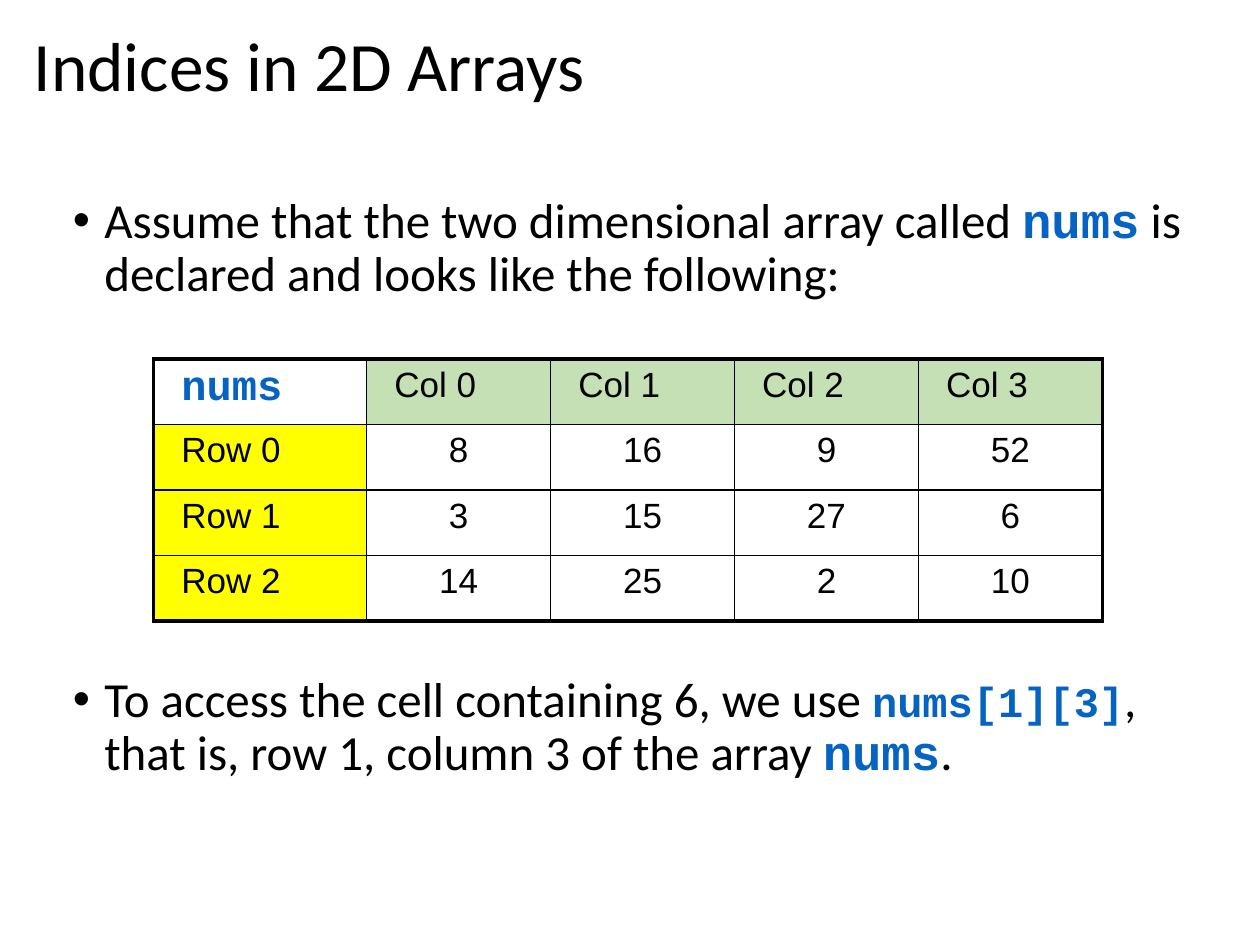
import pptx
import pptx.dml.color
import pptx.enum.text
import pptx.oxml
import pptx.oxml.ns
import pptx.util
from pptx.util import Inches

BLACK, BLUE, GREEN, YELLOW, WHITE = "000000", "0563C1", "C5E0B4", "FFFF00", "FFFFFF"


def color(hex_string):
    """Turn a hex string into a colour."""
    return pptx.dml.color.RGBColor.from_string(hex_string)


class ArraySlide:
    """Holds the style and the current slide."""

    text_font, code_font, cell_font = "Calibri", "Courier New", "Arial"

    def __init__(self, slide):
        self.slide = slide

    def style(self, run, size, font, ink=BLACK, bold=False):
        """Format one run."""
        run.font.size = pptx.util.Pt(size)
        run.font.name = font
        run.font.bold = bold
        run.font.color.rgb = color(ink)

    def frame(self, left, top, width, height):
        """Add a wrapping text box and return its text frame."""
        box = self.slide.shapes.add_textbox(
            Inches(left), Inches(top), Inches(width), Inches(height))
        box.text_frame.word_wrap = True
        return box.text_frame

    def title(self, text, left, top, width, height):
        """Add the slide title."""
        heading = self.frame(left, top, width, height)
        heading.text = text
        heading.vertical_anchor = pptx.enum.text.MSO_ANCHOR.MIDDLE
        heading.paragraphs[0].line_spacing = 0.9
        self.style(heading.paragraphs[0].runs[0], 39.6, self.text_font)

    def bullets(self, items, left, top, width, height):
        """Add bullets given as (space before, [(text, code size or None)])."""
        body = self.frame(left, top, width, height)
        for index, (space, pieces) in enumerate(items):
            bullet = body.add_paragraph() if index else body.paragraphs[0]
            bullet.line_spacing = 0.9
            bullet.space_before = pptx.util.Pt(space)
            properties = bullet._p.get_or_add_pPr()
            properties.set("marL", str(Inches(0.25)))
            properties.set("indent", str(-Inches(0.25)))
            namespace = pptx.oxml.ns.nsdecls("a")
            for tag in ('buFont typeface="Arial"', 'buChar char="\u2022"'):
                properties.append(pptx.oxml.parse_xml(f"<a:{tag} {namespace}/>"))
            for text, code_size in pieces:
                run = bullet.add_run()
                run.text = text
                if code_size:
                    self.style(run, code_size, self.code_font, BLUE, True)
                else:
                    self.style(run, 28, self.text_font)

    def borders(self, cell, widths):
        """Draw black cell borders; widths are left, right, top, bottom."""
        properties = cell._tc.get_or_add_tcPr()
        for index, (side, width) in enumerate(zip("LRTB", widths)):
            properties.insert(index, pptx.oxml.parse_xml(
                f'<a:ln{side} {pptx.oxml.ns.nsdecls("a")} w="{pptx.util.Pt(width)}">'
                f'<a:solidFill><a:srgbClr val="{BLACK}"/></a:solidFill></a:ln{side}>'))

    def array_table(self, name, values, left, top, label_width, column_width, row_height):
        """Add a 2D array with its row and column labels."""
        header = [name] + [f"Col {number}" for number in range(len(values[0]))]
        rows = [header] + [[f"Row {number}"] + row for number, row in enumerate(values)]
        last_row, last_column = len(rows) - 1, len(header) - 1
        table = self.slide.shapes.add_table(
            len(rows), len(header), Inches(left), Inches(top),
            Inches(label_width + last_column * column_width),
            Inches(len(rows) * row_height)).table
        table.first_row = table.horz_banding = False
        for index, column in enumerate(table.columns):
            column.width = Inches(column_width if index else label_width)
        for r, row in enumerate(rows):
            table.rows[r].height = Inches(row_height)
            for c, value in enumerate(row):
                cell = table.cell(r, c)
                cell.text = str(value)
                cell.margin_left = cell.margin_right = Inches(0.22)
                entry = cell.text_frame.paragraphs[0]
                fill = WHITE
                if r and c:
                    entry.alignment = pptx.enum.text.PP_ALIGN.CENTER
                elif r or c:
                    fill = YELLOW if r else GREEN
                cell.fill.solid()
                cell.fill.fore_color.rgb = color(fill)
                if r or c:
                    self.style(entry.runs[0], 20, self.cell_font)
                else:
                    self.style(entry.runs[0], 24, self.code_font, BLUE, True)
                outer = (c == 0, c == last_column, r == 0, r == last_row)
                self.borders(cell, [2.25 if edge else 1 for edge in outer])


deck = pptx.Presentation()
deck.slide_width, deck.slide_height = Inches(10), Inches(7.5)
page = ArraySlide(deck.slides.add_slide(deck.slide_layouts[6]))

page.bullets([
    (10, [("Assume that the two dimensional array called ", None), ("nums", 28),
          (" is declared and looks like the following:", None)]),
    (213, [("To access the cell containing 6, we use ", None), ("nums[1][3]", 24),
           (", that is, row 1, column 3 of the array ", None), ("nums", 28), (".", None)]),
], 0.48, 1.51, 9, 5.17)
page.title("Indices in 2D Arrays", 0.17, 0.18, 9.62, 0.74)
page.array_table("nums", [[8, 16, 9, 52], [3, 15, 27, 6], [14, 25, 2, 10]],
                 left=1.22, top=2.85, label_width=1.69, column_width=1.46, row_height=0.52)

deck.save("out.pptx")
